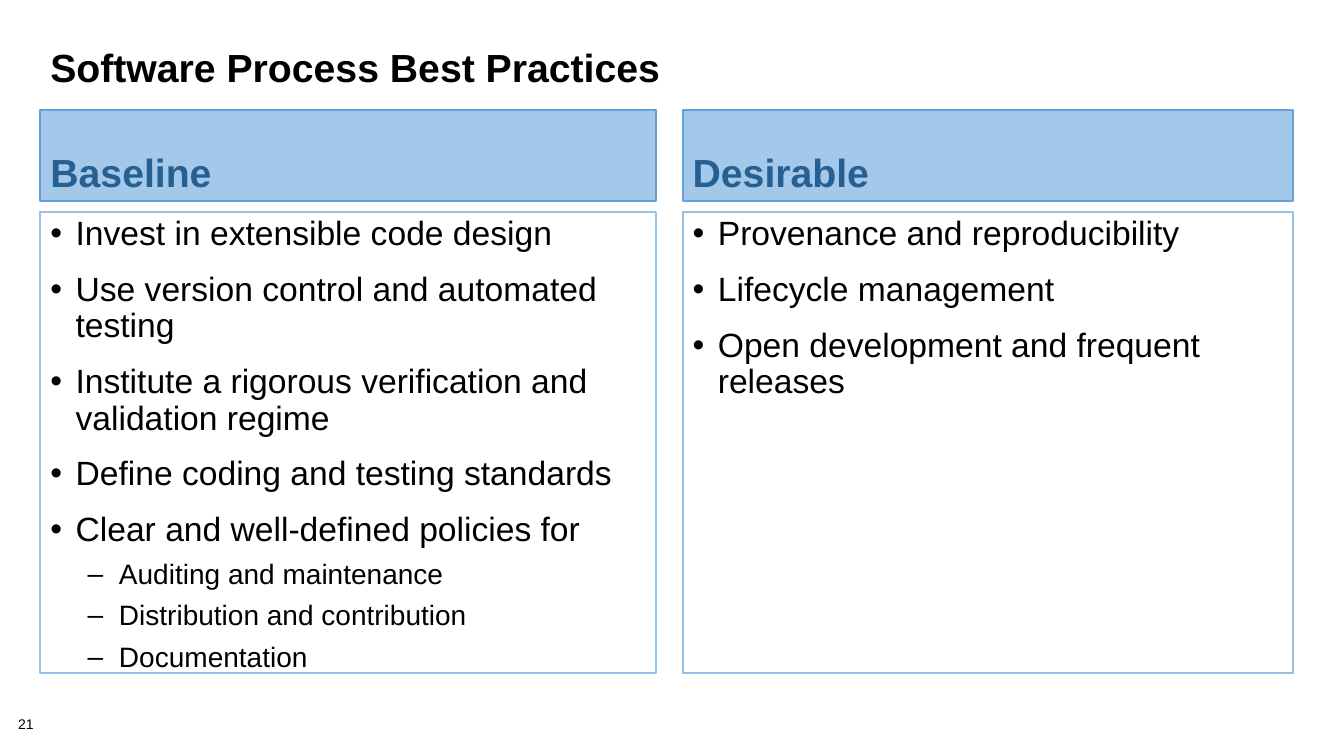
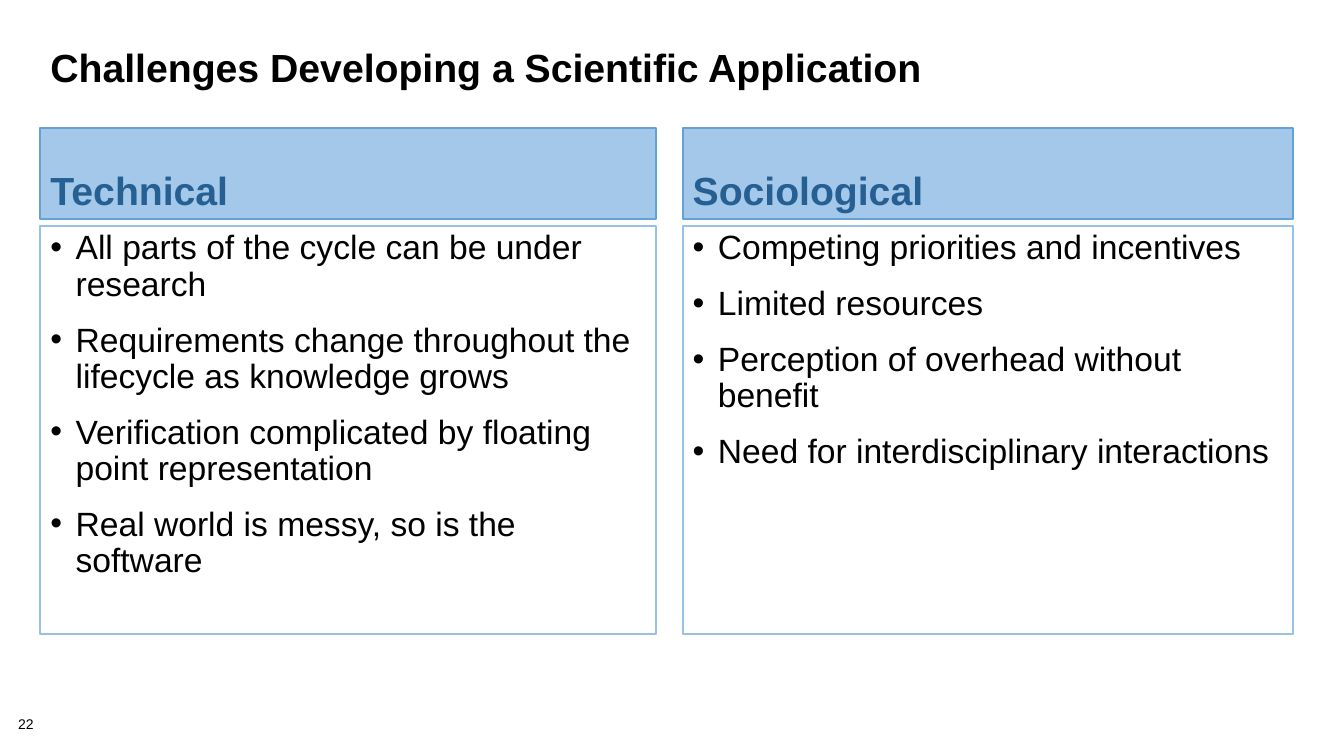
from lxml.etree import SubElement
from pptx import Presentation
from pptx.dml.color import RGBColor
from pptx.enum.text import MSO_ANCHOR as Anchor, MSO_AUTO_SIZE as AutoSize, PP_ALIGN as Align
from pptx.oxml.ns import qn
from pptx.util import Inches, Pt

FONT = "Arial"
COLORS = {
    "text": "000000",
    "band": "A3C8EA",
    "band_line": "64A1D7",
    "band_text": "266093",
    "list_line": "98C1E8",
}
COMPARISON_LAYOUT = 4
COLUMNS = [(0.4, 6.11), (6.77, 6.05)]  # left, width
BAND_HEIGHT = 0.9
# Per list level: bullet, text indent, hanging indent, text size, space before
LEVELS = [("•", 0.25, 0.25, 24, 14), ("–", 0.68, 0.31, 20, 8)]

PAGES = [
    {
        "title": "Software Process Best Practices",
        "number": 21,
        "band_top": 1.09,
        "list_top": 2.1,
        "list_height": 4.58,
        "columns": [
            ("Baseline", [
                (0, "Invest in extensible code design"),
                (0, "Use version control and automated testing"),
                (0, "Institute a rigorous verification and validation regime"),
                (0, "Define coding and testing standards"),
                (0, "Clear and well-defined policies for"),
                (1, "Auditing and maintenance"),
                (1, "Distribution and contribution"),
                (1, "Documentation"),
            ]),
            ("Desirable", [
                (0, "Provenance and reproducibility"),
                (0, "Lifecycle management"),
                (0, "Open development and frequent releases"),
            ]),
        ],
    },
    {
        "title": "Challenges Developing a Scientific Application",
        "number": 22,
        "band_top": 1.27,
        "list_top": 2.24,
        "list_height": 4.05,
        "columns": [
            ("Technical", [
                (0, "All parts of the cycle can be under research"),
                (0, "Requirements change throughout the lifecycle as knowledge grows"),
                (0, "Verification complicated by floating point representation"),
                (0, "Real world is messy, so is the software"),
            ]),
            ("Sociological", [
                (0, "Competing priorities and incentives"),
                (0, "Limited resources"),
                (0, "Perception of overhead without benefit"),
                (0, "Need for interdisciplinary interactions"),
            ]),
        ],
    },
]


def color(name):
    return RGBColor.from_string(COLORS[name])


def place(shape, left, top, width, height, anchor=Anchor.TOP):
    """Move a shape and return its text frame, set to wrap at a fixed size."""
    shape.left, shape.top = Inches(left), Inches(top)
    shape.width, shape.height = Inches(width), Inches(height)
    frame = shape.text_frame
    frame.word_wrap = True
    frame.auto_size = AutoSize.NONE
    frame.vertical_anchor = anchor
    return frame


def outline(shape, name):
    shape.line.color.rgb = color(name)
    shape.line.width = Pt(1.5)


def write(para, text, size, name="text", bold=False, spacing=0.9, before=0):
    para.alignment = Align.LEFT
    para.line_spacing = spacing
    para.space_before = Pt(before)
    para.space_after = Pt(0)
    span = para.add_run()
    span.text = text
    span.font.name = FONT
    span.font.size = Pt(size)
    span.font.bold = bold
    span.font.color.rgb = color(name)


def add_bullet(para, mark, indent, hanging):
    props = para._p.get_or_add_pPr()
    props.set("marL", str(Inches(indent)))
    props.set("indent", str(-Inches(hanging)))
    bullet_color = SubElement(props, qn("a:buClr"))
    SubElement(bullet_color, qn("a:srgbClr"), val=COLORS["text"])
    SubElement(props, qn("a:buFont"), typeface=FONT)
    SubElement(props, qn("a:buChar"), char=mark)


def fill_band(band, text, left, top, width):
    frame = place(band, left, top, width, BAND_HEIGHT, Anchor.BOTTOM)
    band.fill.solid()
    band.fill.fore_color.rgb = color("band")
    outline(band, "band_line")
    write(frame.paragraphs[0], text, 28, "band_text", bold=True)


def fill_list(box, items, left, top, width, height):
    frame = place(box, left, top, width, height)
    outline(box, "list_line")
    for index, (level, text) in enumerate(items):
        para = frame.add_paragraph() if index else frame.paragraphs[0]
        mark, indent, hanging, size, before = LEVELS[level]
        para.level = level
        add_bullet(para, mark, indent, hanging)
        write(para, text, size, before=before if index else 0)


def add_page_number(page, number):
    box = page.shapes.add_textbox(0, 0, 0, 0)
    frame = place(box, 0.18, 7.12, 0.56, 0.16)
    frame.margin_left = frame.margin_right = frame.margin_top = frame.margin_bottom = 0
    write(frame.paragraphs[0], str(number), 10)


def add_comparison(deck, content):
    page = deck.slides.add_slide(deck.slide_layouts[COMPARISON_LAYOUT])
    add_page_number(page, content["number"])

    # Title
    title = place(page.shapes.title, 0.4, 0.45, 12.44, 0.56)
    write(title.paragraphs[0], content["title"], 28, bold=True, spacing=0.85)

    # Two columns, each a heading band over a list
    for index, (left, width) in enumerate(COLUMNS):
        heading, items = content["columns"][index]
        band = page.placeholders[2 * index + 1]
        box = page.placeholders[2 * index + 2]
        fill_band(band, heading, left, content["band_top"], width)
        fill_list(box, items, left, content["list_top"], width, content["list_height"])


def main():
    deck = Presentation()
    deck.slide_width, deck.slide_height = Inches(13.33), Inches(7.5)
    for content in PAGES:
        add_comparison(deck, content)
    deck.save("out.pptx")


if __name__ == "__main__":
    main()
